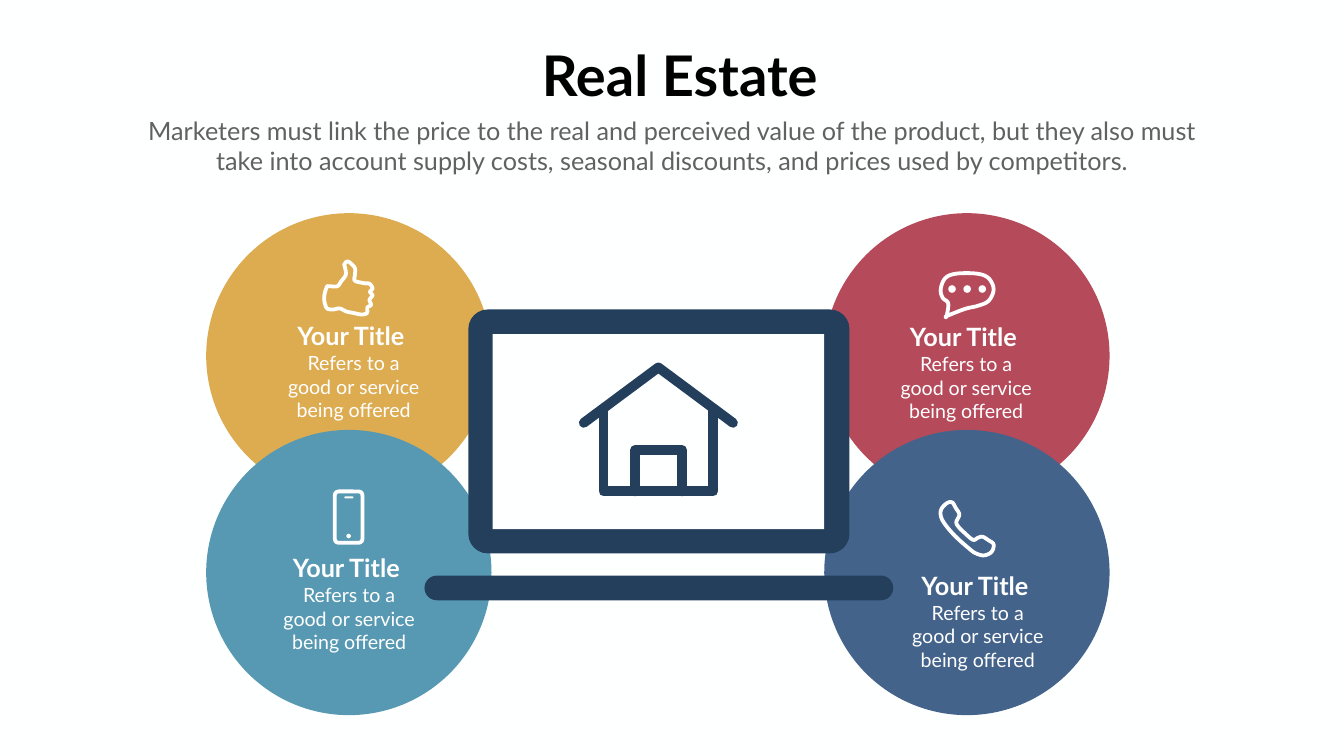
from lxml import etree
from pptx import Presentation
from pptx.dml.color import RGBColor
from pptx.enum.shapes import MSO_SHAPE
from pptx.enum.text import MSO_ANCHOR, MSO_AUTO_SIZE, PP_ALIGN
from pptx.oxml.ns import qn
from pptx.util import Inches, Pt

NAVY, WHITE, PAPER = "233F5B", "FFFFFF", "FEFFFF"
BLACK, GRAY = "000000", "616161"
ICON_LINE = 5.4
HOUSE_LINE = 14

# Fill, circle left and top, caption left and top
TOPICS = [
    ("B54A5A", 16.35, 4.23, 17.95, 6.33),
    ("44638B", 16.35, 8.53, 18.18, 11.26),
    ("DDAB50", 4.09, 4.23, 5.80, 6.31),
    ("5799B2", 4.09, 8.53, 5.71, 10.91),
]
BODY = ["Refers to a", "good or service", "being offered"]

# Centre lines of the house
HOUSE = [
    [(11.58, 8.39), (13.06, 7.29), (14.54, 8.39)],
    [(11.97, 8.14), (11.97, 9.75), (14.15, 9.75), (14.15, 8.14)],
    [(12.6, 9.75), (12.6, 8.93), (13.53, 8.93), (13.53, 9.75)],
]

# Points that the curved icons pass through; a doubled point is a corner
THUMB = [
    (7.17, 6.24), (7.01, 6.21), (6.87, 6.18), (6.74, 6.12), (6.61, 6.14),
    (6.48, 6.11), (6.43, 5.91), (6.48, 5.7), (6.53, 5.68), (6.69, 5.68),
    (6.77, 5.58), (6.86, 5.45), (6.84, 5.29), (6.83, 5.25), (6.88, 5.19),
    (6.94, 5.21), (7.04, 5.32), (7.04, 5.46), (7.04, 5.57), (7.23, 5.62),
    (7.33, 5.63), (7.39, 5.72), (7.34, 5.79), (7.39, 5.86), (7.33, 5.95),
    (7.36, 6.05), (7.29, 6.1), (7.28, 6.21),
]
HANDSET = [
    (19.52, 11.02), (19.36, 10.98), (19.23, 10.89), (18.94, 10.63),
    (18.73, 10.38), (18.66, 10.22), (18.68, 10.09), (18.79, 9.98),
    (18.89, 9.97), (18.96, 10.08), (19.03, 10.21), (18.97, 10.36),
    (19.02, 10.46), (19.13, 10.57), (19.3, 10.71), (19.4, 10.67),
    (19.49, 10.65), (19.61, 10.72), (19.71, 10.8), (19.67, 10.95),
]
BUBBLE = [
    (19.38, 5.43), (19.61, 5.52), (19.71, 5.74), (19.61, 5.97),
    (19.39, 6.07), (19.14, 6.13), (18.78, 6.27), (18.78, 6.27),
    (18.81, 6.02), (18.7, 5.91), (18.66, 5.74), (18.75, 5.52), (18.97, 5.43),
]


def color(value):
    return RGBColor.from_string(value)


def smooth_loop(points, steps=6):
    """Return a closed Catmull-Rom curve through the points."""
    curve = []
    count = len(points)
    for i in range(count):
        corners = [points[(i + k) % count] for k in (-1, 0, 1, 2)]
        for step in range(steps):
            t = step / steps
            curve.append(tuple(
                b + t * (c - a) / 2
                + t ** 2 * (2 * a - 5 * b + 4 * c - d) / 2
                + t ** 3 * (3 * b - a - 3 * c + d) / 2
                for a, b, c, d in zip(*corners)))
    return curve


class Painter:
    font = "Lato"

    def __init__(self, page):
        self.page = page

    def shape(self, kind, left, top, width, height, fill=None,
              line=None, weight=ICON_LINE, radius=None):
        item = self.page.shapes.add_shape(
            kind, Inches(left), Inches(top), Inches(width), Inches(height))
        if radius is not None:
            item.adjustments[0] = radius
        self.style(item, fill, line, weight)

    def stroke(self, points, line, weight, close=False):
        places = [(Inches(x), Inches(y)) for x, y in points]
        builder = self.page.shapes.build_freeform(*places[0])
        builder.add_line_segments(places[1:], close=close)
        item = builder.convert_to_shape()
        self.style(item, None, line, weight)
        outline = item.line._get_or_add_ln()
        outline.set("cap", "rnd")
        etree.SubElement(outline, qn("a:round"))

    def style(self, item, fill, line, weight):
        item.shadow.inherit = False
        if fill:
            item.fill.solid()
            item.fill.fore_color.rgb = color(fill)
        else:
            item.fill.background()
        if line:
            item.line.color.rgb = color(line)
            item.line.width = Pt(weight)
        else:
            item.line.fill.background()

    def text(self, lines, left, top, width, height, size, ink,
             bold=False, align=PP_ALIGN.CENTER, box=None):
        if box is None:
            box = self.page.shapes.add_textbox(0, 0, 0, 0)
        box.left, box.top = Inches(left), Inches(top)
        box.width, box.height = Inches(width), Inches(height)
        frame = box.text_frame
        frame.word_wrap = True
        frame.auto_size = MSO_AUTO_SIZE.NONE
        frame.vertical_anchor = MSO_ANCHOR.TOP
        frame.text = "\n".join(lines)
        for para in frame.paragraphs:
            para.alignment = align
            para.font.name = self.font
            para.font.size = Pt(size)
            para.font.bold = bold
            para.font.color.rgb = color(ink)


def main():
    deck = Presentation()
    deck.slide_width, deck.slide_height = Inches(26.66), Inches(15)
    page = deck.slides.add_slide(deck.slide_layouts[5])
    page.background.fill.solid()
    page.background.fill.fore_color.rgb = color(PAPER)
    painter = Painter(page)

    # Heading
    painter.text(["Real Estate"], 10.55, 0.75, 5.87, 1.45, 80, BLACK,
                 bold=True, box=page.shapes.title)
    painter.text(["Marketers must link the price to the real and perceived "
                  "value of the product, but they also must take into account "
                  "supply costs, seasonal discounts, and prices used by "
                  "competitors."], 2.68, 2.24, 21.3, 1.31, 36, GRAY)

    # Topic circles
    for fill, left, top, _, _ in TOPICS:
        painter.shape(MSO_SHAPE.OVAL, left, top, 5.66, 5.66, fill)

    # Laptop: lid, screen and base
    rounded = MSO_SHAPE.ROUNDED_RECTANGLE
    painter.shape(rounded, 9.29, 6.14, 7.56, 4.84, NAVY, radius=0.08)
    painter.shape(MSO_SHAPE.RECTANGLE, 9.77, 6.63, 6.58, 3.87, PAPER)
    painter.shape(rounded, 8.42, 11.42, 9.3, 0.49, NAVY, radius=0.5)

    # House on the screen
    for points in HOUSE:
        painter.stroke(points, NAVY, HOUSE_LINE)

    # Thumb, handset and speech bubble
    for points in (THUMB, HANDSET, BUBBLE):
        painter.stroke(smooth_loop(points), WHITE, ICON_LINE, close=True)
    for i in range(3):
        painter.shape(MSO_SHAPE.OVAL, 18.81 + 0.3 * i, 5.66, 0.15, 0.15, WHITE)

    # Mobile phone: case, button and speaker
    painter.shape(rounded, 6.64, 9.75, 0.55, 1.02, line=WHITE, radius=0.14)
    painter.shape(MSO_SHAPE.OVAL, 6.87, 10.59, 0.09, 0.09, WHITE)
    painter.shape(rounded, 6.83, 9.85, 0.18, 0.04, WHITE, radius=0.5)

    # Captions
    for _, _, _, left, top in TOPICS:
        painter.text(["Your Title"], left, top, 2.42, 0.51, 36, WHITE,
                     bold=True, align=PP_ALIGN.LEFT)
        painter.text(BODY, left - 0.23, top + 0.61, 2.89, 1.46, 28, WHITE)

    deck.save("out.pptx")


if __name__ == "__main__":
    main()
